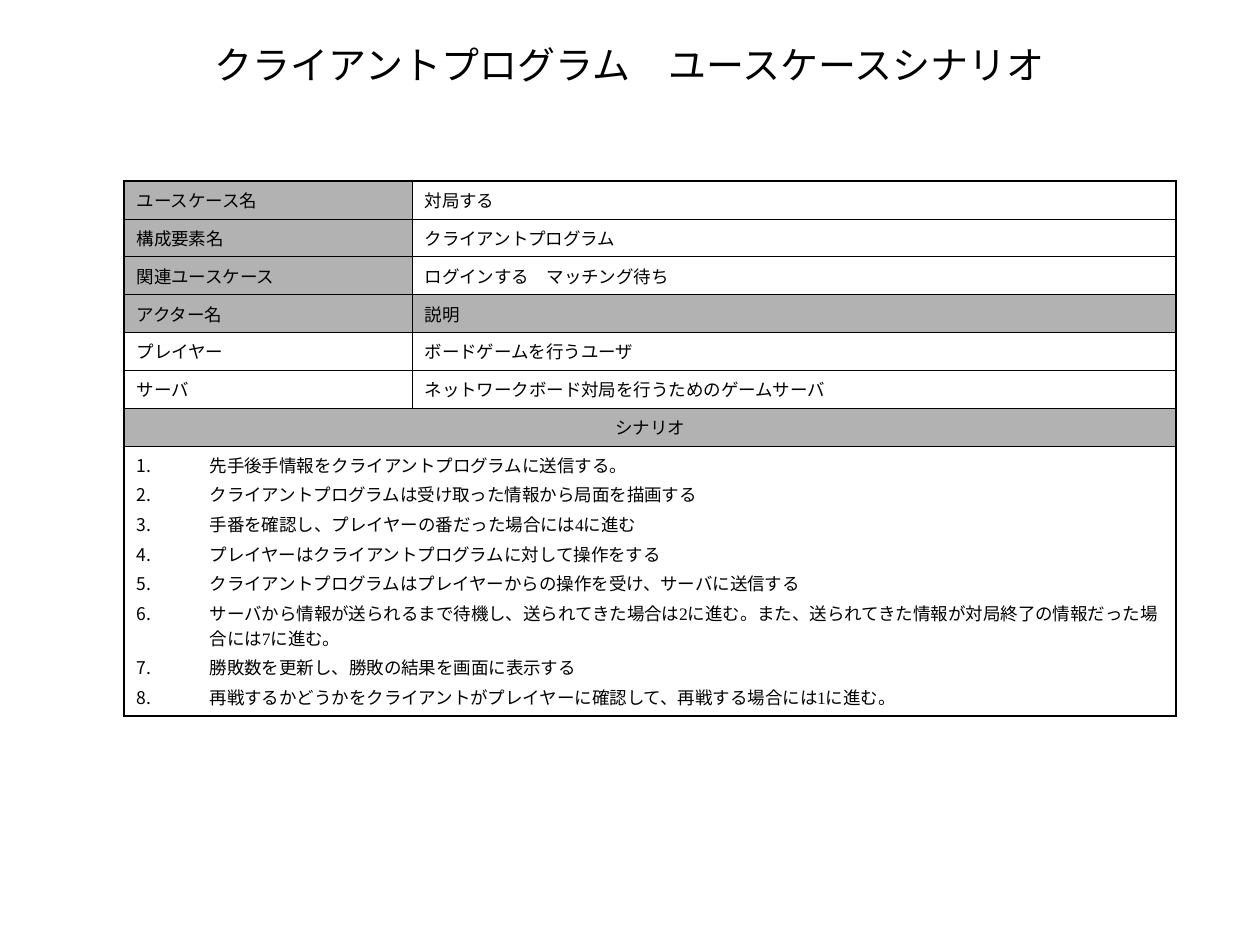
from pptx import Presentation
from pptx.dml.color import RGBColor
from pptx.enum.lang import MSO_LANGUAGE_ID
from pptx.enum.text import MSO_ANCHOR, PP_ALIGN
from pptx.oxml.ns import qn
from pptx.util import Pt
from lxml.etree import SubElement

PX = 914400 / 126
COLORS = {"ink": "000000", "head": "B2B2B2"}


def px(n):
    return round(n * PX)


def write(p, text, size):
    r = p.add_run()
    r.text = text
    fmt = {"name": "Times New Roman", "size": Pt(size), "language_id": MSO_LANGUAGE_ID.JAPANESE}
    for key, value in fmt.items():
        setattr(r.font, key, value)
    r.font.color.rgb = RGBColor.from_string(COLORS["ink"])


prs = Presentation()
prs.slide_width, prs.slide_height = px(1260), px(945)
s = prs.slides.add_slide(prs.slide_layouts[6])

rows = [
    ["ユースケース名", "対局する"],
    ["構成要素名", "クライアントプログラム"],
    ["関連ユースケース", "ログインする　マッチング待ち"],
    ["アクター名", "説明"],
    ["プレイヤー", "ボードゲームを行うユーザ"],
    ["サーバ", "ネットワークボード対局を行うためのゲームサーバ"],
    ["シナリオ"],
]
steps = [
    "先手後手情報をクライアントプログラムに送信する。",
    "クライアントプログラムは受け取った情報から局面を描画する",
    "手番を確認し、プレイヤーの番だった場合には4に進む",
    "プレイヤーはクライアントプログラムに対して操作をする",
    "クライアントプログラムはプレイヤーからの操作を受け、サーバに送信する",
    "サーバから情報が送られるまで待機し、送られてきた場合は2に進む。また、送られてきた情報が対局終了の情報だった場合には7に進む。",
    "勝敗数を更新し、勝敗の結果を画面に表示する",
    "再戦するかどうかをクライアントがプレイヤーに確認して、再戦する場合には1に進む。",
]
shaded = {(0, 0), (1, 0), (2, 0), (3, 0), (3, 1), (6, 0), (6, 1)}
last = len(rows)

tbl = s.shapes.add_table(last + 1, 2, px(124), px(181), px(1052), px(466)).table
tbl.first_row = tbl.horz_banding = False
for col, width in zip(tbl.columns, (288, 764)):
    col.width = px(width)
for i, row in enumerate(tbl.rows):
    row.height = px(233 if i == last else 34)
for i in (last - 1, last):
    tbl.cell(i, 0).merge(tbl.cell(i, 1))

for i in range(last + 1):
    for j in range(2):
        cell = tbl.cell(i, j)
        if (i, j) in shaded:
            cell.fill.solid()
            cell.fill.fore_color.rgb = RGBColor.from_string(COLORS["head"])
        else:
            cell.fill.background()
        tcPr = cell._tc.get_or_add_tcPr()
        outer = {"L": j == 0, "R": j == 1 or i >= last - 1, "T": i == 0, "B": i == last}
        for k, (side, edge) in enumerate(outer.items()):
            ln = SubElement(tcPr, qn("a:ln" + side), w=str(Pt(1.08 if edge else 0.45)))
            SubElement(SubElement(ln, qn("a:solidFill")), qn("a:srgbClr"), val=COLORS["ink"])
            tcPr.insert(k, ln)

for i, texts in enumerate(rows):
    for j, text in enumerate(texts):
        p = tbl.cell(i, j).text_frame.paragraphs[0]
        p.space_before = Pt(2.5)
        p.alignment = PP_ALIGN.CENTER if len(texts) == 1 else PP_ALIGN.LEFT
        write(p, text, 10)

tf = tbl.cell(last, 0).text_frame
for i, text in enumerate(steps):
    p = tf.add_paragraph() if i else tf.paragraphs[0]
    p.space_before = Pt(2.5)
    write(p, text, 10)
    pPr = p._p.get_or_add_pPr()
    pPr.set("marL", str(px(73)))
    pPr.set("indent", str(-px(73)))
    SubElement(SubElement(pPr, qn("a:buClr")), qn("a:srgbClr"), val=COLORS["ink"])
    SubElement(pPr, qn("a:buFont"), typeface="+mj-ea")
    SubElement(pPr, qn("a:buAutoNum"), type="arabicPeriod")

sp = s.shapes.add_textbox(px(94), px(34), px(1071), px(61))
tf = sp.text_frame
for key, value in {"word_wrap": True, "vertical_anchor": MSO_ANCHOR.MIDDLE}.items():
    setattr(tf, key, value)
p = tf.paragraphs[0]
p.alignment = PP_ALIGN.CENTER
write(p, "クライアントプログラム　ユースケースシナリオ", 21.7)

prs.save("out.pptx")
